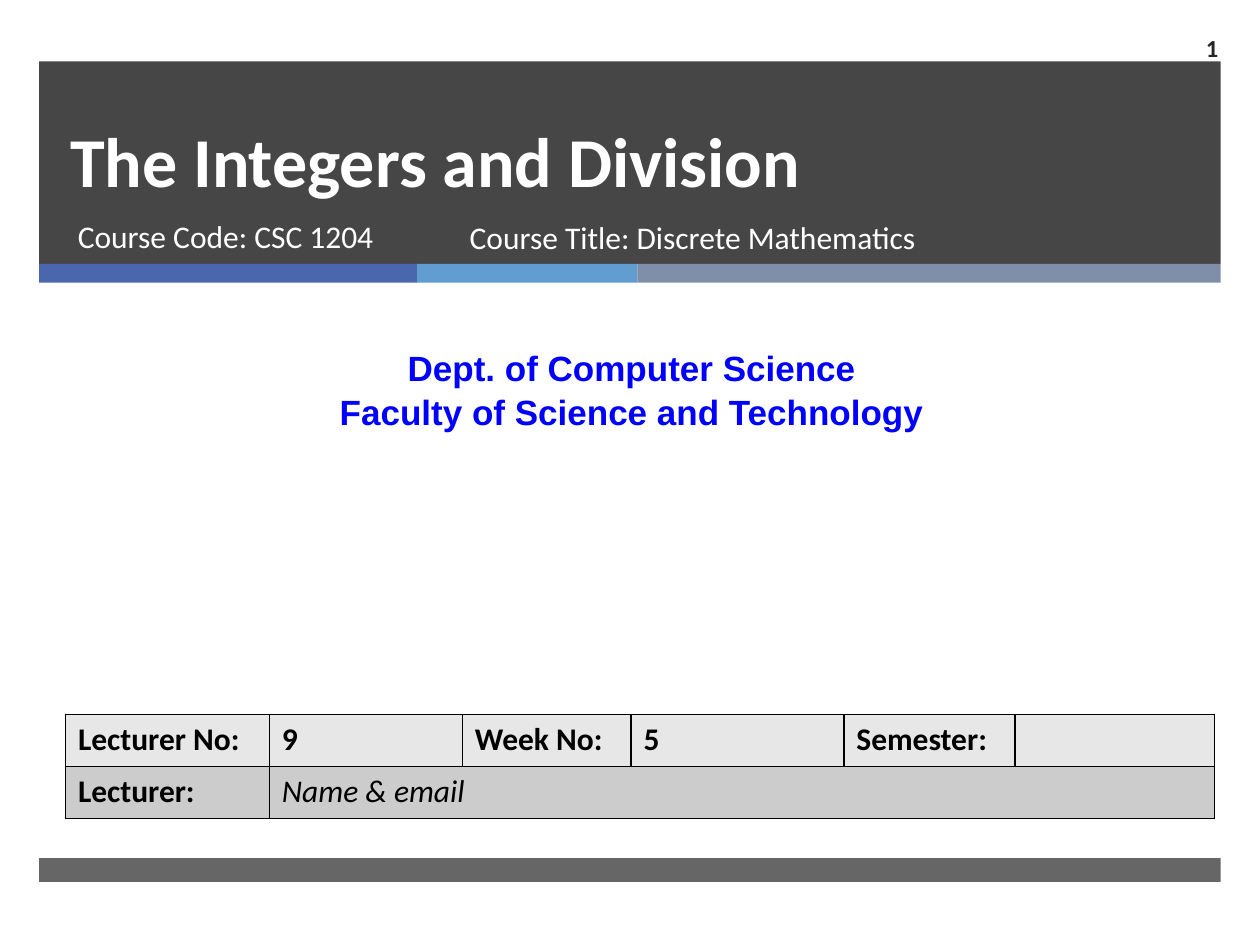
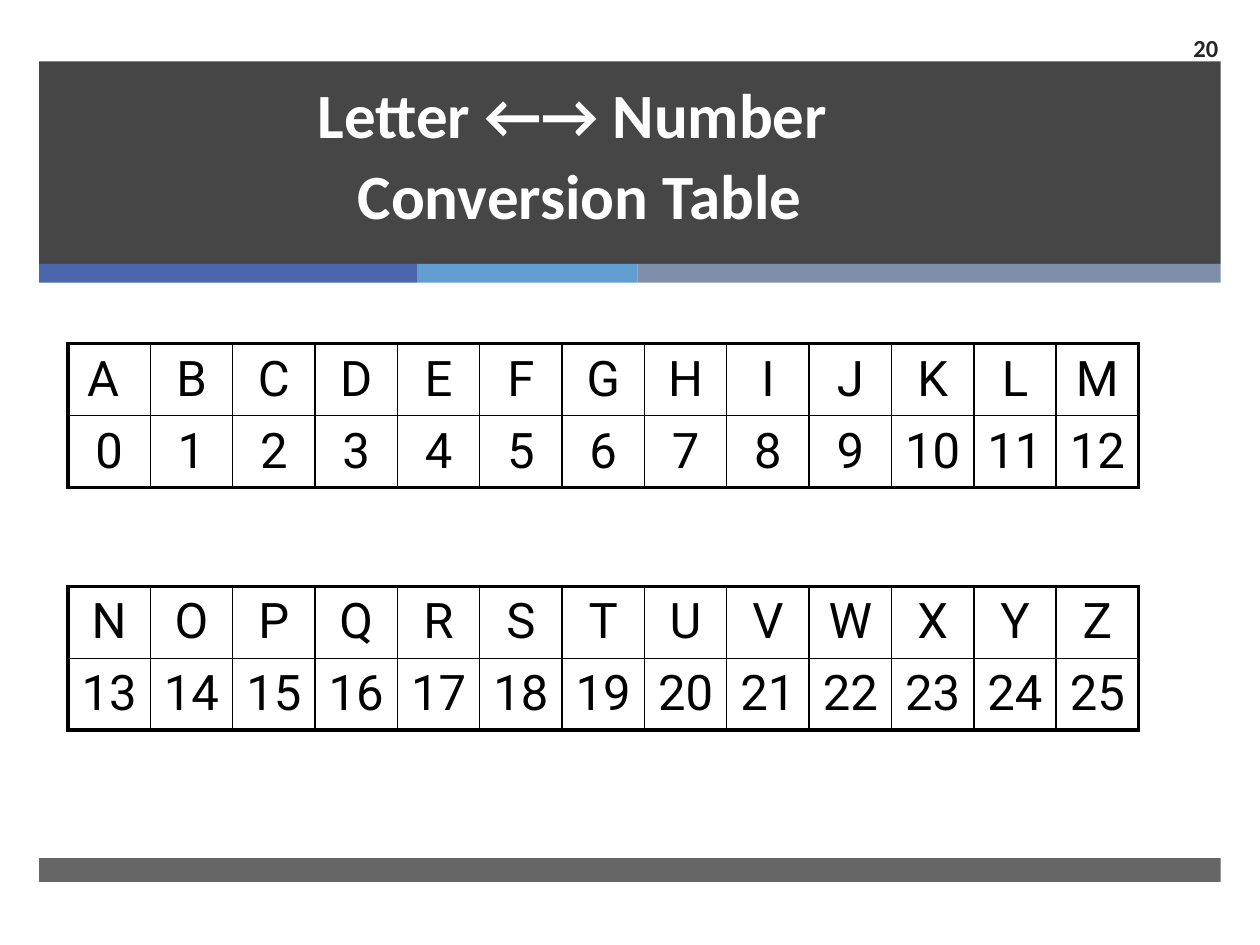
from collections import namedtuple

from lxml.etree import SubElement
from pptx import Presentation
from pptx.dml.color import RGBColor
from pptx.enum.shapes import MSO_SHAPE as Preset
from pptx.enum.text import MSO_ANCHOR as Anchor, PP_ALIGN as Align
from pptx.oxml import parse_xml
from pptx.oxml.ns import nsdecls, qn
from pptx.util import Cm, Pt

Box = namedtuple("Box", "left top width height")

DARK, WHITE, BLACK, BLUE = "262626", "FFFFFF", "000000", "0000FF"
STRIPES = [("4A66AC", 7.62), ("629DD1", 4.44), ("7F8FA9", 11.76)]
BODY_FONT = "Calibri"
HEADER = Box(0.79, 1.24, 23.82, 4.08)
FOOTER = Box(0.79, 17.3, 23.82, 0.48)
STRIPE_HEIGHT = 0.38
THIN, THICK = 1, 2.25


def color(hex_code):
    """Turn a hex string into a colour."""
    return RGBColor.from_string(hex_code)


def place(box):
    """Return the four lengths of a box."""
    return [Cm(length) for length in box]


def style(paragraph, size, ink, bold=False, italic=False, font=BODY_FONT, align=Align.LEFT):
    """Set the font and alignment of a paragraph."""
    paragraph.alignment = align
    paragraph.font.name = font
    paragraph.font.size = Pt(size)
    paragraph.font.bold = bold
    paragraph.font.italic = italic
    paragraph.font.color.rgb = color(ink)


def add_text(slide, box, text, size, ink, anchor=Anchor.TOP, spacing=None, **looks):
    """Add a wrapped text box with one look for all its paragraphs."""
    frame = slide.shapes.add_textbox(*place(box)).text_frame
    frame.word_wrap = True
    frame.vertical_anchor = anchor
    frame.text = text
    for paragraph in frame.paragraphs:
        style(paragraph, size, ink, **looks)
        if spacing:
            paragraph.line_spacing = spacing


def add_band(slide, box, fill, opacity=100):
    """Add a plain filled rectangle."""
    band = slide.shapes.add_shape(Preset.RECTANGLE, *place(box))
    band.shadow.inherit = False
    band.line.fill.background()
    band.fill.solid()
    band.fill.fore_color.rgb = color(fill)
    if opacity < 100:
        tint = band.fill._xPr.find(f".//{qn('a:srgbClr')}")
        SubElement(tint, qn("a:alpha"), val=str(opacity * 1000))


def add_frame(slide, page):
    """Add the bands and the page number that every slide shares."""
    add_band(slide, HEADER, DARK, 85)
    left = HEADER.left
    for fill, width in STRIPES:
        add_band(slide, Box(left, HEADER.top + HEADER.height, width, STRIPE_HEIGHT), fill)
        left += width
    add_band(slide, FOOTER, DARK, 70)
    number = Box(HEADER.left + HEADER.width - 1.55, HEADER.top - 0.78, 1.75, 0.99)
    add_text(slide, number, str(page), 14, DARK, Anchor.MIDDLE, bold=True, align=Align.RIGHT)


def add_title(slide, box, text, size, align=Align.LEFT):
    """Add the white title that stands in the header band."""
    add_text(slide, box, text, size, WHITE, Anchor.BOTTOM, Pt(46), bold=True, align=align)


def add_plain_table(slide, box, row_count, widths):
    """Add a table without banding and with the given column widths."""
    table = slide.shapes.add_table(row_count, len(widths), *place(box)).table
    table.first_row = table.horz_banding = False
    for column, width in zip(table.columns, widths):
        column.width = Cm(width)
    for row in table.rows:
        row.height = Cm(box.height / row_count)
    return table


def set_borders(cell, left=THIN, right=THIN, top=THIN, bottom=THIN):
    """Draw the four black borders of a cell."""
    properties = cell._tc.get_or_add_tcPr()
    for index, (side, points) in enumerate(zip("LRTB", (left, right, top, bottom))):
        properties.insert(index, parse_xml(
            f'<a:ln{side} {nsdecls("a")} w="{Pt(points)}"><a:solidFill>'
            f'<a:srgbClr val="{BLACK}"/></a:solidFill></a:ln{side}>'))


def add_lecture_table(slide, box):
    """Add the table with lecture, week, semester and lecturer."""
    rows = [["Lecturer No:", "9", "Week No:", "5", "Semester:", ""],
            ["Lecturer:", "Name & email", "", "", "", ""]]
    table = add_plain_table(slide, box, len(rows), [4.11, 3.89, 3.4, 4.29, 3.45, 4.02])
    for r, (labels, fill) in enumerate(zip(rows, ["E7E7E7", "CCCCCC"])):
        for c, label in enumerate(labels):
            cell = table.cell(r, c)
            cell.text = label
            is_lecturer = r == 1 and c == 1
            style(cell.text_frame.paragraphs[0], 18, BLACK,
                  bold=not is_lecturer, italic=is_lecturer)
            cell.fill.solid()
            cell.fill.fore_color.rgb = color(fill)
            set_borders(cell)
    table.cell(1, 1).merge(table.cell(1, 5))


def add_letter_table(slide, box, letters, first_number):
    """Add letters above their numbers inside a thick outline."""
    count = len(letters)
    numbers = [str(first_number + offset) for offset in range(count)]
    table = add_plain_table(slide, box, 2, [box.width / count] * count)
    for r, entries in enumerate([letters, numbers]):
        for c, entry in enumerate(entries):
            cell = table.cell(r, c)
            cell.text = entry
            cell.vertical_anchor = Anchor.MIDDLE
            style(cell.text_frame.paragraphs[0], 28, BLACK, font="Roboto", align=Align.CENTER)
            cell.fill.background()
            set_borders(cell,
                        left=THICK if c == 0 else THIN,
                        right=THICK if c == count - 1 else THIN,
                        top=THICK if r == 0 else THIN,
                        bottom=THICK if r == 1 else THIN)


def build_cover(slide):
    """Build the cover with course, department and lecture details."""
    add_frame(slide, 1)
    add_title(slide, Box(1.17, 1.17, 21.69, 3.02), "The Integers and Division", 40)
    add_text(slide, Box(1.32, 4.26, 7.75, 1.35), "Course Code: CSC 1204", 18, WHITE)
    add_text(slide, Box(9.22, 4.27, 11.56, 1.35), "Course Title: Discrete Mathematics", 18, WHITE)
    add_text(slide, Box(0.2, 6.81, 25.07, 1.96),
             "Dept. of Computer Science\nFaculty of Science and Technology",
             20, BLUE, spacing=1.05, bold=True, font="Arial", align=Align.CENTER)
    add_lecture_table(slide, Box(1.32, 14.4, 23.16, 2.1))


def build_conversion(slide):
    """Build the slide that maps letters to numbers."""
    add_frame(slide, 20)
    add_title(slide, Box(0.84, 1.78, 21.69, 3.02),
              "Letter ←→ Number \vConversion Table", 36, Align.CENTER)
    halves = [["A ", *"BCDEFGHIJKLM"], list("NOPQRSTUVWXYZ")]
    for half, letters in enumerate(halves):
        box = Box(1.37, 6.93 + 4.89 * half, 21.59, 2.9)
        add_letter_table(slide, box, letters, half * len(letters))


def main():
    """Build both slides and save the file."""
    deck = Presentation()
    deck.slide_width, deck.slide_height = Cm(25.4), Cm(19.05)
    blank = deck.slide_layouts[6]
    for build in (build_cover, build_conversion):
        build(deck.slides.add_slide(blank))
    deck.save("out.pptx")


if __name__ == "__main__":
    main()
